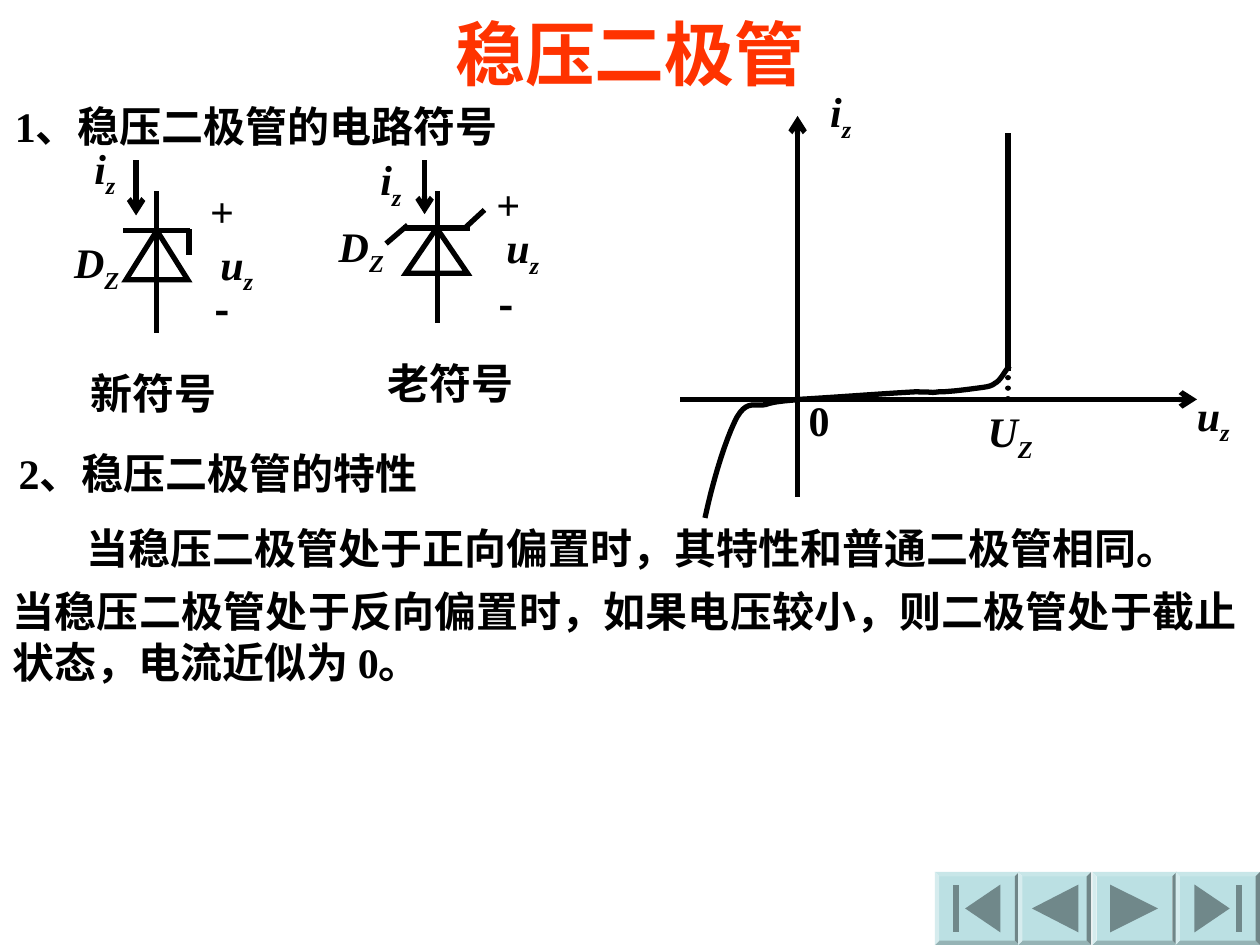
"""Build the slide on the Zener diode: symbols, characteristic curve and notes."""
from lxml import etree
from pptx import Presentation
from pptx.dml.color import RGBColor
from pptx.enum import dml, shapes, text
from pptx.oxml import ns
from pptx.util import Inches, Pt

COLORS = {"title": "FF3300", "ink": "000000", "button": "BBE0E3", "icon": "70888A"}
SERIF, SANS, CJK = "Times New Roman", "Arial", "Noto Sans CJK SC"
TITLE = "稳压二极管"
NOTES = [
    ("1、稳压二极管的电路符号", 0.02, 0.75, 4.3),
    ("新符号", 0.62, 2.87, 1.3),
    ("老符号", 2.98, 2.79, 1.3),
    ("2、稳压二极管的特性", 0.05, 3.5, 3.8),
    ("当稳压二极管处于正向偏置时，其特性和普通二极管相同。", 0.59, 4.1, 9.1),
    ("+", 1.57, 1.42, 0.39),
    ("+", 3.84, 1.37, 0.39),
    ("0", 6.32, 3.08, 0.36),
]
MINUS_SIGNS = [(1.6, 2.2), (3.86, 2.16)]
REVERSE_NOTE = "当稳压二极管处于反向偏置时，如果电压较小，则二极管处于截止状态，电流近似为 0。"
QUANTITIES = [
    ("D", "Z", 0.49, 1.83, 0.56),
    ("u", "z", 1.65, 1.84, 0.46),
    ("i", "z", 0.65, 1.08, 0.37),
    ("D", "Z", 2.59, 1.7, 0.56),
    ("u", "z", 3.92, 1.71, 0.46),
    ("i", "z", 2.92, 1.17, 0.37),
    ("i", "z", 6.49, 0.63, 0.37),
    ("u", "z", 9.4, 3.04, 0.46),
    ("U", "Z", 7.74, 3.17, 0.56),
]
TRIANGLES = [(1, 1.83, 0.49, 0.39), (3.22, 1.81, 0.49, 0.36)]
LINES = [
    (1, 1.83, 1.49, 1.83), (1.24, 1.54, 1.24, 2.62), (1.5, 1.84, 1.5, 2),
    (3.22, 1.81, 3.71, 1.81), (3.47, 1.54, 3.47, 2.54),
    (3.08, 1.92, 3.22, 1.8), (3.7, 1.8, 3.83, 1.68),
    (8, 1.08, 8, 2.92),
]
ARROWS = [(1.08, 1.29, 1.08, 1.71), (3.37, 1.29, 3.37, 1.7),
          (5.42, 3.17, 9.5, 3.17), (6.33, 3.92, 6.33, 0.92)]
BREAKDOWN_MARK = (8, 2.83, 8, 3.17)
CURVES = [
    [(8, 2.92), (7.98, 2.94), (7.94, 3.02), (7.9, 3.04), (7.86, 3.07), (7.83, 3.07),
     (7.76, 3.08), (7.68, 3.09), (7.54, 3.11), (7.45, 3.11), (7.37, 3.12), (7.44, 3.11),
     (7.26, 3.11), (7.07, 3.12), (6.53, 3.16), (6.33, 3.17)],
    [(6.33, 3.17), (6.29, 3.18), (6.16, 3.18), (6.08, 3.21), (6, 3.23), (5.93, 3.17),
     (5.85, 3.31), (5.77, 3.46), (5.67, 3.77), (5.6, 4.09)],
]
BUTTON_TOP, BUTTON_HEIGHT, ICON_TOP, ICON_BOTTOM = 6.92, 0.58, 7.02, 7.4
BUTTONS = [  # left, width, triangle base, triangle tip, bar left
    (7.42, 0.67, 7.94, 7.66, 7.56),
    (8.08, 0.58, 8.56, 8.19, None),
    (8.67, 0.67, 8.81, 9.19, None),
    (9.33, 0.67, 9.48, 9.76, 9.81),
]
BUTTONS = [tuple(button) for button in BUTTONS]
BAR_WIDTH, CURVE_STEPS = 0.05, 10


def rgb(name):
    return RGBColor.from_string(COLORS[name])


def style_span(span, size=24, latin=SERIF, color="ink", italic=None):
    font = span.font
    font.size, font.bold, font.italic, font.name = Pt(size), True, italic, latin
    font.color.rgb = rgb(color)
    etree.SubElement(span._r.get_or_add_rPr(), ns.qn("a:ea"), typeface=CJK)


def add_text(page, parts, left, top, width, height=0.5, wrap=False, **style):
    box = page.shapes.add_textbox(*map(Inches, (left, top, width, height)))
    box.text_frame.word_wrap = wrap
    para = box.text_frame.paragraphs[0]
    for part in parts:
        span = para.add_run()
        span.text = part
        style_span(span, **style)
    return para


def style_line(line):
    line.color.rgb = rgb("ink")
    line.width = Pt(3)
    outline = line._get_or_add_ln()
    outline.set("cap", "sq")
    etree.SubElement(outline, ns.qn("a:miter"), lim="800000")


def add_line(page, ends, arrow=False):
    line = page.shapes.add_connector(shapes.MSO_CONNECTOR.STRAIGHT, *map(Inches, ends))
    style_line(line.line)
    etree.SubElement(line._element.spPr, ns.qn("a:effectLst"))
    if arrow:
        etree.SubElement(line.line._get_or_add_ln(), ns.qn("a:tailEnd"), type="arrow")
    return line


def add_outline(page, points, close):
    corners = [(Inches(x), Inches(y)) for x, y in points]
    builder = page.shapes.build_freeform(*corners[0])
    builder.add_line_segments(corners[1:], close=close)
    outline = builder.convert_to_shape()
    outline.shadow.inherit = False
    return outline


def fill_plain(shape, color):
    shape.fill.solid()
    shape.fill.fore_color.rgb = rgb(color)
    shape.line.fill.background()


def bezier_points(controls):
    points = [controls[0]]
    for start in range(0, len(controls) - 1, 3):
        quad = controls[start:start + 4]
        for step in range(1, CURVE_STEPS + 1):
            t = step / CURVE_STEPS
            weights = ((1 - t) ** 3, 3 * t * (1 - t) ** 2, 3 * t * t * (1 - t), t ** 3)
            points.append(tuple(sum(w * point[axis] for w, point in zip(weights, quad))
                                for axis in (0, 1)))
    return points


def add_button(page, left, width, base, tip, bar):
    button = page.shapes.add_shape(shapes.MSO_SHAPE.BEVEL, *map(
        Inches, (left, BUTTON_TOP, width, BUTTON_HEIGHT)))
    button.adjustments[0] = 0.06
    button.shadow.inherit = False
    fill_plain(button, "button")
    middle = (ICON_TOP + ICON_BOTTOM) / 2
    icons = [[(base, ICON_TOP), (tip, middle), (base, ICON_BOTTOM)]]
    if bar:
        right = bar + BAR_WIDTH
        icons.append([(bar, ICON_TOP), (right, ICON_TOP), (right, ICON_BOTTOM), (bar, ICON_BOTTOM)])
    for icon in icons:
        fill_plain(add_outline(page, icon, True), "icon")


def add_title(page):
    title = page.shapes.title
    title.left, title.top, title.width, title.height = map(Inches, (0.75, 0.08, 8.5, 0.67))
    frame = title.text_frame
    frame.text = TITLE
    frame.auto_size = text.MSO_AUTO_SIZE.NONE
    frame.vertical_anchor = text.MSO_ANCHOR.MIDDLE
    frame.paragraphs[0].alignment = text.PP_ALIGN.CENTER
    style_span(frame.paragraphs[0].runs[0], 40, SANS, "title")


def main():
    deck = Presentation()
    deck.slide_width, deck.slide_height = Inches(10), Inches(7.5)
    page = deck.slides.add_slide(deck.slide_layouts[5])
    add_title(page)
    for button in BUTTONS:
        add_button(page, *button)
    for place in TRIANGLES:
        triangle = page.shapes.add_shape(
            shapes.MSO_SHAPE.ISOSCELES_TRIANGLE, *map(Inches, place))
        triangle.shadow.inherit = False
        triangle.fill.background()
        style_line(triangle.line)
    for ends in LINES:
        add_line(page, ends)
    for ends in ARROWS:
        add_line(page, ends, arrow=True)
    mark = add_line(page, BREAKDOWN_MARK)
    mark.line.dash_style = dml.MSO_LINE.ROUND_DOT
    mark.line._get_or_add_ln().set("cap", "rnd")
    for controls in CURVES:
        curve = add_outline(page, bezier_points(controls), False)
        curve.fill.background()
        style_line(curve.line)
    for note, *place in NOTES:
        add_text(page, [note], *place)
    for left, top in MINUS_SIGNS:
        add_text(page, ["-"], left, top, 0.31, latin=CJK)
    for letter, index, *place in QUANTITIES:
        para = add_text(page, [letter, index], *place, height=0.56, italic=True)
        para.runs[1].font._element.set("baseline", "-25000")
    para = add_text(page, [REVERSE_NOTE], 0, 4.6, 9.92, 0.9, wrap=True)
    para.alignment = text.PP_ALIGN.JUSTIFY
    deck.save("out.pptx")


if __name__ == "__main__":
    main()
